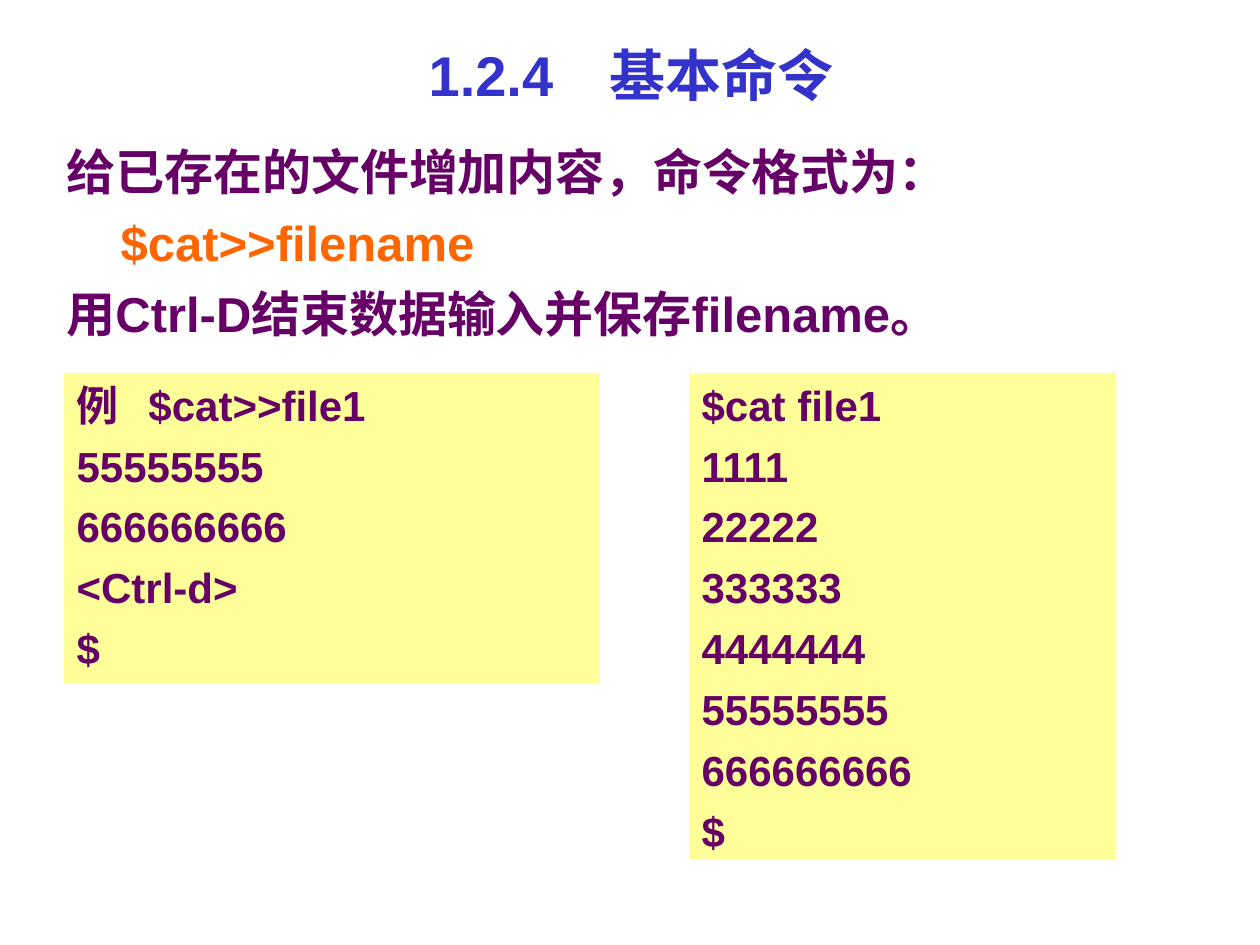
import pptx
import pptx.util
import pptx.dml.color
import pptx.enum.shapes
import pptx.enum.text
from lxml import etree
from pptx.oxml.ns import qn

Inches, Pt = pptx.util.Inches, pptx.util.Pt
RGBColor = pptx.dml.color.RGBColor
ANCHOR = pptx.enum.text.MSO_ANCHOR

BLUE = RGBColor(0x33, 0x33, 0xCC)
PURPLE = RGBColor(0x66, 0x00, 0x66)
ORANGE = RGBColor(0xFF, 0x66, 0x00)
YELLOW = RGBColor(0xFF, 0xFF, 0x99)
FONT = "Arial"

TITLE = "1.2.4　基本命令"
# text, colour, left indent in inches
USAGE = [
    ("给已存在的文件增加内容，命令格式为：", PURPLE, 0),
    ("$cat>>filename", ORANGE, 0.43),
    ("用Ctrl-D结束数据输入并保存filename。", PURPLE, 0),
]
APPEND_SESSION = ["例\t$cat>>file1", "55555555", "666666666", "<Ctrl-d>", "$"]
SHOW_SESSION = ["$cat file1", "1111", "22222", "333333", "4444444",
                "55555555", "666666666", "$"]
# lines, left, width, height
SESSIONS = [(APPEND_SESSION, 0.51, 4.25, 2.46), (SHOW_SESSION, 5.47, 3.39, 3.86)]
SESSION_TOP = 2.96
EXAMPLE_TAB = 0.57


def add_tab_stop(paragraph, position):
    stops = etree.SubElement(paragraph._p.get_or_add_pPr(), qn("a:tabLst"))
    etree.SubElement(stops, qn("a:tab"), pos=str(Inches(position)), algn="l")


def write_lines(frame, lines, size, gap, align=pptx.enum.text.PP_ALIGN.LEFT,
                anchor=ANCHOR.TOP):
    """Fill a frame with (text, colour, indent) lines, gap points apart."""
    frame.word_wrap = True
    frame.auto_size = pptx.enum.text.MSO_AUTO_SIZE.NONE
    frame.vertical_anchor = anchor
    for index, (text, colour, indent) in enumerate(lines):
        paragraph = frame.add_paragraph() if index else frame.paragraphs[0]
        paragraph.alignment = align
        paragraph.space_before = Pt(gap if index else 0)
        if indent:
            paragraph._p.get_or_add_pPr().set("marL", str(Inches(indent)))
        if "\t" in text:
            add_tab_stop(paragraph, EXAMPLE_TAB)
        run = paragraph.add_run()
        run.text = text
        run.font.name = FONT
        run.font.size = Pt(size)
        run.font.bold = True
        run.font.color.rgb = colour


deck = pptx.Presentation()
deck.slide_width, deck.slide_height = Inches(10), Inches(7.5)
slide = deck.slides.add_slide(deck.slide_layouts[5])

title = slide.shapes.title
title.left, title.top, title.width, title.height = map(Inches, (0.51, 0.28, 9, 0.61))
write_lines(title.text_frame, [(TITLE, BLUE, 0)], 32, 0,
            pptx.enum.text.PP_ALIGN.CENTER, ANCHOR.MIDDLE)

usage = slide.shapes.add_textbox(*map(Inches, (0.43, 1.07, 9, 2.52)))
write_lines(usage.text_frame, USAGE, 28, 7)

for lines, left, width, height in SESSIONS:
    session = slide.shapes.add_shape(
        pptx.enum.shapes.MSO_SHAPE.RECTANGLE,
        *map(Inches, (left, SESSION_TOP, width, height)))
    session.shadow.inherit = False
    session.fill.solid()
    session.fill.fore_color.rgb = YELLOW
    session.line.fill.background()
    write_lines(session.text_frame, [(line, PURPLE, 0) for line in lines], 24, 6)

deck.save("out.pptx")
